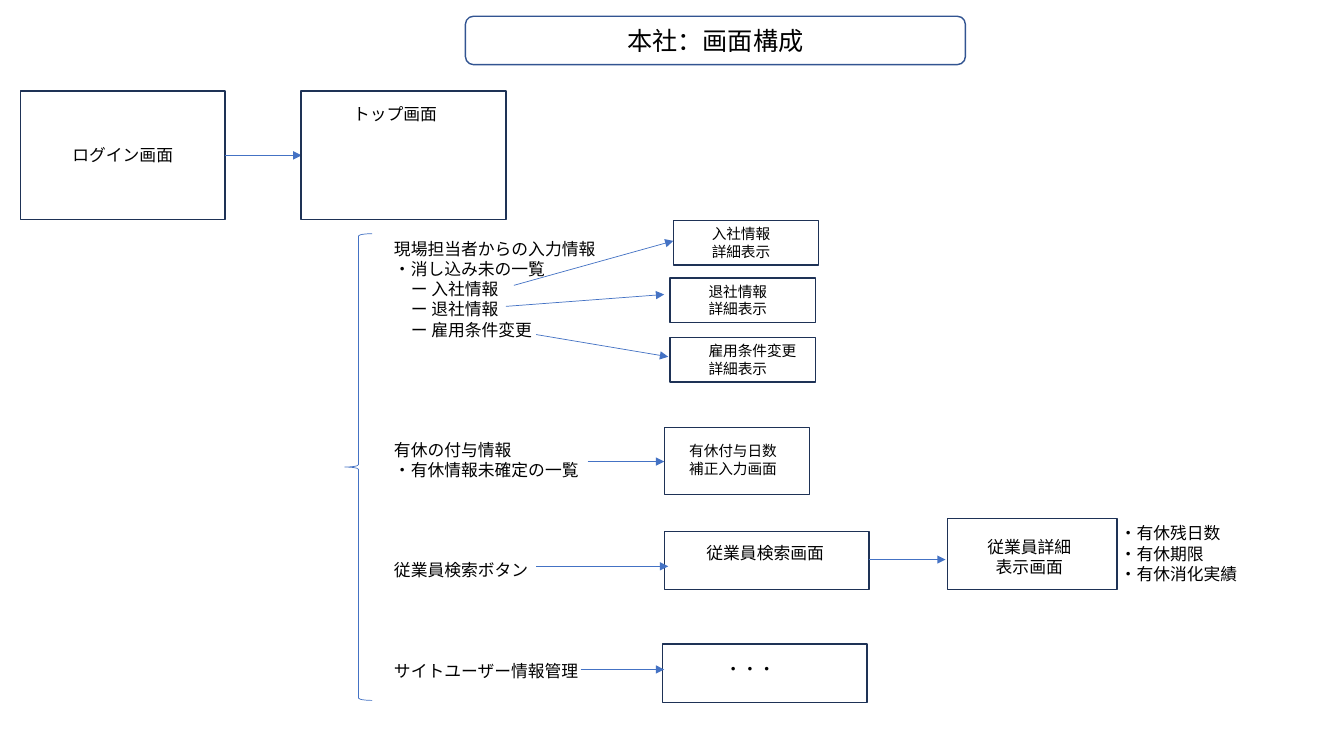
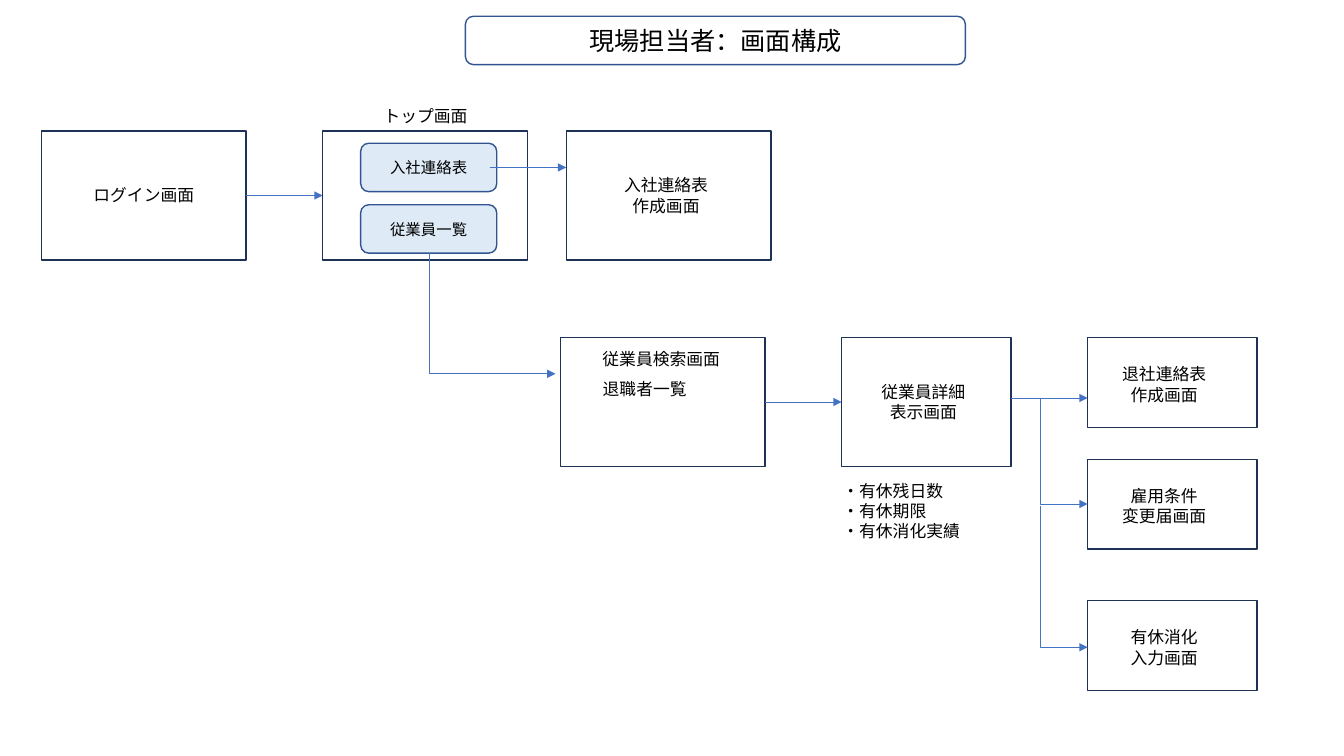
from lxml import etree
from pptx import Presentation
from pptx import util as u
from pptx.dml.color import RGBColor
from pptx.enum import shapes, text
from pptx.oxml.ns import qn

FONT = "Noto Sans CJK JP"
COLORS = {"text": "000000", "frame": "1E3256", "rounded": "325491",
          "arrow": "4472C4", "button": "DEEBF7"}
SHAPE = shapes.MSO_SHAPE
LEFT, CENTER = text.PP_ALIGN.LEFT, text.PP_ALIGN.CENTER

SCREEN = (5.16, 3.25)
LOW_SCREEN = (5.16, 1.47)
POPUP = (3.66, 1.12)
FORM = (4.27, 2.26)
LEAVE_NOTES = ["・有休残日数", "・有休期限", "・有休消化実績"]


def rgb(name):
    return RGBColor.from_string(COLORS[name])


def cm(*lengths):
    return [u.Cm(v) for v in lengths]


def set_attrs(obj, values):
    for name, value in values.items():
        setattr(obj, name, value)


def write(tf, lines, size, align):
    """Fill a text frame; a line starting with a dash is indented by one character."""
    for i, line in enumerate(lines):
        p = tf.paragraphs[0] if i == 0 else tf.add_paragraph()
        set_attrs(p, {"alignment": align, "line_spacing": u.Pt(size * 1.2)})
        if line.startswith("ー"):
            p._p.get_or_add_pPr().set("marL", str(u.Pt(size)))
        r = p.add_run()
        r.text = line
        set_attrs(r.font, {"size": u.Pt(size), "name": FONT})
        r.font.color.rgb = rgb("text")
        ea = etree.SubElement(r._r.get_or_add_rPr(), qn("a:ea"))
        ea.set("typeface", FONT)


def add_label(s, x, y, w, lines, size=12, align=LEFT):
    sp = s.shapes.add_textbox(*cm(x, y, w, 0.25 + 0.51 * len(lines)))
    sp.text_frame.word_wrap = True
    write(sp.text_frame, lines, size, align)


def add_outline(s, kind, box, line, width=1, fill=None):
    sp = s.shapes.add_shape(kind, *cm(*box))
    sp.shadow.inherit = False
    sp.line.color.rgb = rgb(line)
    sp.line.width = u.Pt(width)
    if fill:
        sp.fill.solid()
        sp.fill.fore_color.rgb = rgb(fill)
    else:
        sp.fill.background()
    return sp


def add_rounded(s, box, caption, size, fill=None):
    sp = add_outline(s, SHAPE.ROUNDED_RECTANGLE, box, "rounded", fill=fill)
    sp.text_frame.vertical_anchor = text.MSO_ANCHOR.MIDDLE
    write(sp.text_frame, [caption], size, CENTER)


def add_screen(s, pos, dims, lines, label, size=12, align=CENTER):
    """Draw a screen frame; label is (dx, dy, width) from its top left corner."""
    add_outline(s, SHAPE.RECTANGLE, (*pos, *dims), "frame")
    dx, dy, w = label
    add_label(s, pos[0] + dx, pos[1] + dy, w, lines, size, align)


def add_arrow(s, x1, y1, x2, y2):
    c = s.shapes.add_connector(shapes.MSO_CONNECTOR.STRAIGHT, *cm(x1, y1, x2, y2))
    c.line.color.rgb = rgb("arrow")
    c.line.width = u.Pt(0.5)
    etree.SubElement(c.line._get_or_add_ln(), qn("a:tailEnd")).set("type", "triangle")
    etree.SubElement(c._element.spPr, qn("a:effectLst"))
    return c


def add_elbow(s, x1, y1, x2, y2):
    """Arrow going down, then right: a mirrored elbow turned by 270 degrees."""
    mid_x, mid_y = (x1 + x2) / 2, (y1 + y2) / 2
    half_w, half_h = (y2 - y1) / 2, (x2 - x1) / 2
    c = add_arrow(s, mid_x - half_w, mid_y - half_h, mid_x + half_w, mid_y + half_h)
    spPr = c._element.spPr
    spPr.find(qn("a:prstGeom")).set("prst", "bentConnector2")
    xfrm = spPr.find(qn("a:xfrm"))
    xfrm.set("rot", "16200000")
    xfrm.set("flipH", "1")


def add_titled_slide(prs, title):
    s = prs.slides.add_slide(prs.slide_layouts[6])
    add_rounded(s, (11.73, 0.41, 12.6, 1.22), title, 18)
    return s


def add_login(s, x, y):
    """Login screen with the arrow to the top screen."""
    w, h = SCREEN
    add_screen(s, (x, y), SCREEN, ["ログイン画面"], (0.45, 1.24, 4.27))
    add_arrow(s, x + w, y + h / 2, x + w + 1.93, y + h / 2)


def add_menu(s, x, y):
    """Contents of the top screen, gathered by a brace."""
    add_outline(s, SHAPE.LEFT_BRACE, (x, y, 0.69, 11.76), "arrow", 0.5)
    groups = [
        (0, ["現場担当者からの入力情報", "・消し込み未の一覧",
             "ー 入社情報", "ー 退社情報", "ー 雇用条件変更"]),
        (5.07, ["有休の付与情報", "・有休情報未確定の一覧"]),
        (8.1, ["従業員検索ボタン"]),
        (10.64, ["サイトユーザー情報管理"]),
    ]
    for dy, lines in groups:
        add_label(s, x + 0.99, y + dy, 8.03, lines)


def add_head_office(prs):
    s = add_titled_slide(prs, "本社：画面構成")
    add_login(s, 0.51, 2.29)
    add_screen(s, (7.59, 2.29), SCREEN, ["トップ画面"], (0.23, 0.2, 4.27))
    add_menu(s, 8.69, 5.89)

    popups = [((16.97, 5.56), "入社情報"), ((16.89, 7.01), "退社情報"),
              ((16.89, 8.51), "雇用条件変更")]
    for pos, name in popups:
        add_screen(s, pos, POPUP, [name, "詳細表示"], (0.72, -0.02, 2.8), 10.5, LEFT)
    add_screen(s, (16.74, 10.77), (3.66, 1.7), ["有休付与日数", "補正入力画面"],
               (0.38, 0.25, 2.84), 10.5, LEFT)

    add_screen(s, (16.74, 13.39), LOW_SCREEN, ["従業員検索画面"], (0.41, 0.15, 4.27))
    add_screen(s, (24.08 - 0.2, 13.06), (4.27, 1.8), ["従業員詳細", "表示画面"],
               (0.46, 0.33, 3.2))
    add_label(s, 27.97, 13.06, 4.47, LEAVE_NOTES)
    add_screen(s, (16.69, 16.23), LOW_SCREEN, ["・・・"], (0.08, 0.25, 4.27))

    for ends in [(12.95, 7.19, 16.97, 6.07), (12.75, 7.72, 16.74, 7.42),
                 (13.51, 8.43, 16.84, 8.99), (14.81, 11.63, 16.74, 11.63),
                 (13.51, 14.27, 16.84, 14.27), (21.89, 14.1, 23.83, 14.1),
                 (14.63, 16.87, 16.74, 16.87)]:
        add_arrow(s, *ends)


def add_site_staff(prs):
    s = add_titled_slide(prs, "現場担当者：画面構成")
    add_login(s, 1.04, 3.3)
    add_screen(s, (8.13, 3.3), SCREEN, ["トップ画面"], (0.46, -0.76, 4.27))
    for y, name in [(3.61, "入社連絡表"), (5.16, "従業員一覧")]:
        add_rounded(s, (9.09, y, 3.43, 1.22), name, 11, "button")
    add_screen(s, (14.27, 3.3), SCREEN, ["入社連絡表", "作成画面"], (0.38, 0.99, 4.27))

    add_screen(s, (14.12, 8.51), SCREEN, ["従業員検索画面"], (0.41, 0.15, 4.27))
    add_label(s, 14.94, 9.42, 4.47, ["退職者一覧"])
    add_screen(s, (21.21, 8.51), (4.27, 3.25), ["従業員詳細", "表示画面"],
               (0.46, 0.99, 3.2))
    add_label(s, 20.98, 11.99, 4.47, LEAVE_NOTES)

    forms = [(8.51, ["退社連絡表", "作成画面"]), (11.58, ["雇用条件", "変更届画面"]),
             (15.14, ["有休消化", "入力画面"])]
    for y, lines in forms:
        add_screen(s, (27.41, y), FORM, lines, (0.33, 0.54, 3.2))

    for x, y in [(12.34, 4.22), (19.28, 10.13), (25.48, 10.03)]:
        add_arrow(s, x, y, x + 1.93, y)
    for ends in [(10.82, 6.38, 14, 9.42), (26.21, 10.03, 27.41, 12.7),
                 (26.21, 12.75, 27.41, 16.31)]:
        add_elbow(s, *ends)


def main():
    prs = Presentation()
    set_attrs(prs, {"slide_width": u.Cm(33.87), "slide_height": u.Cm(19.05)})
    add_head_office(prs)
    add_site_staff(prs)
    prs.save("out.pptx")


if __name__ == "__main__":
    main()
